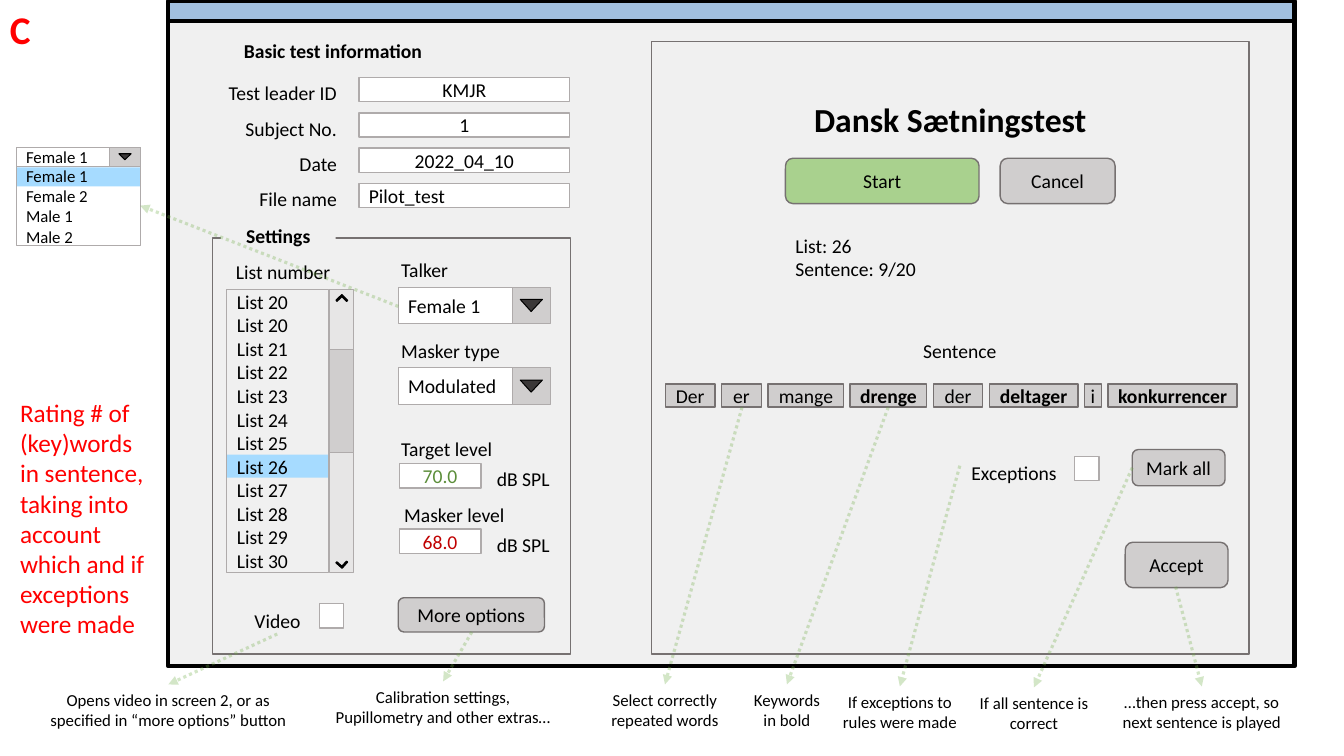
from lxml import etree
from pptx import Presentation
from pptx.dml.color import RGBColor
from pptx.enum.dml import MSO_LINE
from pptx.enum.shapes import MSO_CONNECTOR, MSO_SHAPE as SHAPE
from pptx.enum.text import MSO_ANCHOR as ANCHOR, PP_ALIGN as ALIGN
from pptx.oxml.ns import qn
from pptx.util import Inches, Pt

FONT = "Calibri"
COLOURS = {
    "black": "000000", "white": "FFFFFF", "red": "FF0000", "panel": "F0F0F0",
    "title bar": "A1BFDE", "start": "A9D18E", "button": "D0CECE", "border": "767171",
    "field border": "AFABAB", "selected": "A6DBFF", "scroll track": "E7E6E6",
    "triangle": "3B3838", "target": "5C8E3A", "masker": "C00000", "arrow": "70AD47",
}

FIELD_LABELS = ["Test leader ID", "Subject No.", "Date", "File name"]
FIELD_VALUES = [("KMJR", ALIGN.CENTER), ("1", ALIGN.CENTER),
                ("2022_04_10", ALIGN.CENTER), ("Pilot_test", ALIGN.LEFT)]
LISTS = ["List 20"] + [f"List {number}" for number in range(20, 31)]
TALKERS = ["Female 1", "Female 2", "Male 1", "Male 2"]
DROPDOWNS = [("Talker", "Female 1", 2.85), ("Masker type", "Modulated", 3.65)]
# label, label left, value, colour, field top
LEVELS = [("Target level", 3.88, "70.0", "target", 4.6),
          ("Masker level", 3.91, "68.0", "masker", 5.25)]
# text, left, top, width, height, fill
BUTTONS = [
    ("Start", 7.79, 1.57, 1.92, 0.45, "start"),
    ("Cancel", 9.92, 1.57, 1.14, 0.45, "button"),
    ("Mark all", 11.23, 4.46, 0.92, 0.36, "button"),
    ("Accept", 11.16, 5.38, 1.02, 0.45, "button"),
    ("More options", 3.95, 5.93, 1.45, 0.34, "button"),
]
# label, label left, label top, label width, box left
CHECKBOXES = [("Video", 2.42, 5.87, 0.66, 3.17), ("Exceptions", 9.52, 4.41, 1.06, 10.66)]
# word, width, is a keyword
WORDS = [("Der", 0.49, False), ("er", 0.4, False), ("mange", 0.75, False),
         ("drenge", 0.76, True), ("der", 0.49, False), ("deltager", 0.88, True),
         ("i", 0.17, False), ("konkurrencer", 1.28, True)]
WORDS_LEFT, WORDS_RIGHT = 6.6, 12.27
# caption, left, top, width, arrow start
CAPTIONS = [
    ("Opens video in screen 2, or as specified in “more options” button",
     0.31, 6.79, 2.72, (2.75, 6.29)),
    ("Calibration settings, Pupillometry and other extras…", 3.22, 6.76, 2.35, (4.68, 6.27)),
    ("Select correctly repeated words", 5.83, 6.79, 1.53, (7.36, 4.04)),
    ("Keywords in bold", 7.37, 6.79, 0.87, (8.81, 4.04)),
    ("If exceptions to rules were made", 8.25, 6.81, 1.35, (9.52, 4.62)),
    ("If all sentence is correct", 9.58, 6.82, 1.35, (11.23, 4.64)),
    ("…then press accept, so next sentence is played", 10.94, 6.81, 1.96, (11.66, 5.82)),
]

deck = Presentation()
deck.slide_width, deck.slide_height = Inches(13.33), Inches(7.5)
page = deck.slides.add_slide(deck.slide_layouts[6])


def colour(name):
    return RGBColor.from_string(COLOURS[name])


def write(box, lines, size=14, ink="black", bold=False, align=ALIGN.LEFT,
          spacing=None, wrap=True, anchor=ANCHOR.TOP):
    frame = box.text_frame
    frame.word_wrap = wrap
    frame.vertical_anchor = anchor
    for index, line in enumerate([lines] if isinstance(lines, str) else lines):
        para = frame.paragraphs[0] if index == 0 else frame.add_paragraph()
        para.text = line
        para.alignment = align
        if spacing:
            para.line_spacing = spacing
        para.font.name, para.font.size, para.font.bold = FONT, Pt(size), bold
        para.font.color.rgb = colour(ink)


def label(lines, left, top, width, height=0.34, **style):
    box = page.shapes.add_textbox(*map(Inches, (left, top, width, height)))
    write(box, lines, **style)


def block(left, top, width, height, fill=None, line=None, weight=1.0,
          kind=SHAPE.RECTANGLE, adjust=(), turn=0):
    box = page.shapes.add_shape(kind, *map(Inches, (left, top, width, height)))
    box.shadow.inherit = False
    box.rotation = turn
    for index, value in enumerate(adjust):
        box.adjustments[index] = value
    if fill:
        box.fill.solid()
        box.fill.fore_color.rgb = colour(fill)
    else:
        box.fill.background()
    if line:
        box.line.color.rgb = colour(line)
        box.line.width = Pt(weight)
    else:
        box.line.fill.background()
    return box


def caption_block(box, lines, align=ALIGN.CENTER, **style):
    """Write text in the vertical middle; only centred text may overrun its box."""
    write(box, lines, align=align, wrap=align != ALIGN.CENTER, anchor=ANCHOR.MIDDLE, **style)


def dropdown(text, left, top, width, height, button, triangle, size):
    """Value box, arrow button at its right and a triangle centred on the button."""
    field = block(left, top, width, height, "white", "field border", 0.75)
    caption_block(field, text, ALIGN.LEFT, size=size)
    button_left, button_width = button
    block(button_left, top, button_width, height, "button", "field border", 0.75)
    wide, high = triangle
    block(button_left + (button_width - wide) / 2, top + (height - high) / 2, wide, high,
          "triangle", "black", 0.75, SHAPE.ISOSCELES_TRIANGLE, (0.51,), 180)


def dotted_arrow(start, end):
    arrow = page.shapes.add_connector(MSO_CONNECTOR.STRAIGHT, *map(Inches, (*start, *end)))
    arrow.line.color.rgb = colour("arrow")
    arrow.line.width = Pt(2.25)
    arrow.line.dash_style = MSO_LINE.ROUND_DOT
    properties = arrow.element.spPr
    outline = properties.find(qn("a:ln"))
    etree.SubElement(outline.find(".//" + qn("a:srgbClr")), qn("a:alpha"), val="30000")
    etree.SubElement(outline, qn("a:tailEnd"), type="triangle")
    etree.SubElement(properties, qn("a:effectLst"))


# Window and its panels
block(1.67, 0.19, 11.17, 6.42, "panel", "black", 3)
block(1.67, 0.01, 11.17, 0.2, "title bar", "black", 3)
block(6.46, 0.41, 5.93, 6.08, line="border")
block(2.11, 2.36, 3.55, 4.13, line="border")
write(block(2.19, 2.17, 1.14, 0.41, "panel"), "Settings", bold=True, align=ALIGN.CENTER)

# Basic test information
label("Basic test information", 2.32, 0.34, 1.98, bold=True, wrap=False)
label(FIELD_LABELS, 2.15, 0.64, 1.29, 1.48, align=ALIGN.RIGHT, spacing=1.5, wrap=False)
for row, (value, align) in enumerate(FIELD_VALUES):
    field = block(3.56, 0.77 + 0.35 * row, 2.09, 0.24, "white", "field border")
    caption_block(field, value, align)

# List number with its scroll bar
label("List number", 2.24, 2.53, 1.15, wrap=False)
block(2.25, 4.51, 1.01, 0.23, "selected")
caption_block(block(2.25, 2.87, 1.01, 2.81, line="field border", weight=0.75), LISTS, ALIGN.LEFT)
block(3.27, 2.87, 0.24, 2.81, "scroll track", "field border", 0.75)
block(3.27, 3.47, 0.24, 1.02, "button", "field border", 0.75)
for top, turn in [(2.94, 136), (5.54, 311.6)]:
    block(3.35, top, 0.08, 0.08, "black", "black", 1, SHAPE.CORNER, (0.16, 0.15), turn)

# Talker, masker and levels
for name, value, top in DROPDOWNS:
    label(name, 3.88, top - 0.34, 1.19)
    dropdown(value, 3.95, top, 1.13, 0.36, (5.08, 0.38), (0.22, 0.12), 14)
for name, left, value, ink, top in LEVELS:
    label(name, left, top - 0.43, 1.21, 0.42, spacing=1.5)
    caption_block(block(3.96, top, 0.81, 0.24, "white", "field border"), value, ink=ink)
    label("dB SPL", 4.5, top - 0.13, 1.05, 0.42, align=ALIGN.RIGHT, spacing=1.5)

# Sentence test
label("Dansk Sætningstest", 7.96, 0.93, 2.93, 0.5, size=24, bold=True,
      align=ALIGN.CENTER, wrap=False)
label(["List: 26", "Sentence: 9/20"], 7.79, 2.27, 2.93, 0.57)
label("Sentence", 9.05, 3.31, 0.94, align=ALIGN.CENTER, wrap=False)
words_width = sum(width for _, width, _ in WORDS)
word_gap = (WORDS_RIGHT - WORDS_LEFT - words_width) / (len(WORDS) - 1)
word_left = WORDS_LEFT
for word, width, keyword in WORDS:
    tile = block(word_left, 3.81, width, 0.23, "button", "border",
                 kind=SHAPE.ROUNDED_RECTANGLE, adjust=(0,))
    caption_block(tile, word, bold=keyword)
    word_left += width + word_gap
for text, left, top, width, height, fill in BUTTONS:
    button = block(left, top, width, height, fill, "border", kind=SHAPE.ROUNDED_RECTANGLE)
    caption_block(button, text)
for text, left, top, width, box_left in CHECKBOXES:
    label(text, left, top, width, 0.42, align=ALIGN.RIGHT, spacing=1.5, wrap=False)
    block(box_left, top + 0.12, 0.24, 0.24, "white", "field border")

# Opened talker menu
dropdown(TALKERS[0], 0.16, 1.46, 1.23, 0.19, (1.09, 0.3), (0.12, 0.06), 12)
block(0.16, 1.66, 1.23, 0.19, "selected")
menu = block(0.16, 1.65, 1.23, 0.79, line="field border", weight=0.75)
caption_block(menu, TALKERS, ALIGN.LEFT, size=12)
dotted_arrow((3.95, 3.04), (1.39, 2.04))

# Captions under the window
for text, left, top, width, start in CAPTIONS:
    dotted_arrow(start, (left + width / 2, top))
    label(text, left, top, width, 0.5, size=12, align=ALIGN.CENTER)

label("Rating # of (key)words in sentence, taking into account which and if exceptions were made",
      0.1, 3.89, 1.48, 2.52, size=18, ink="red")
label("C", 0, 0, 0.41, 0.57, size=28, ink="red", bold=True, wrap=False)

deck.save("out.pptx")
